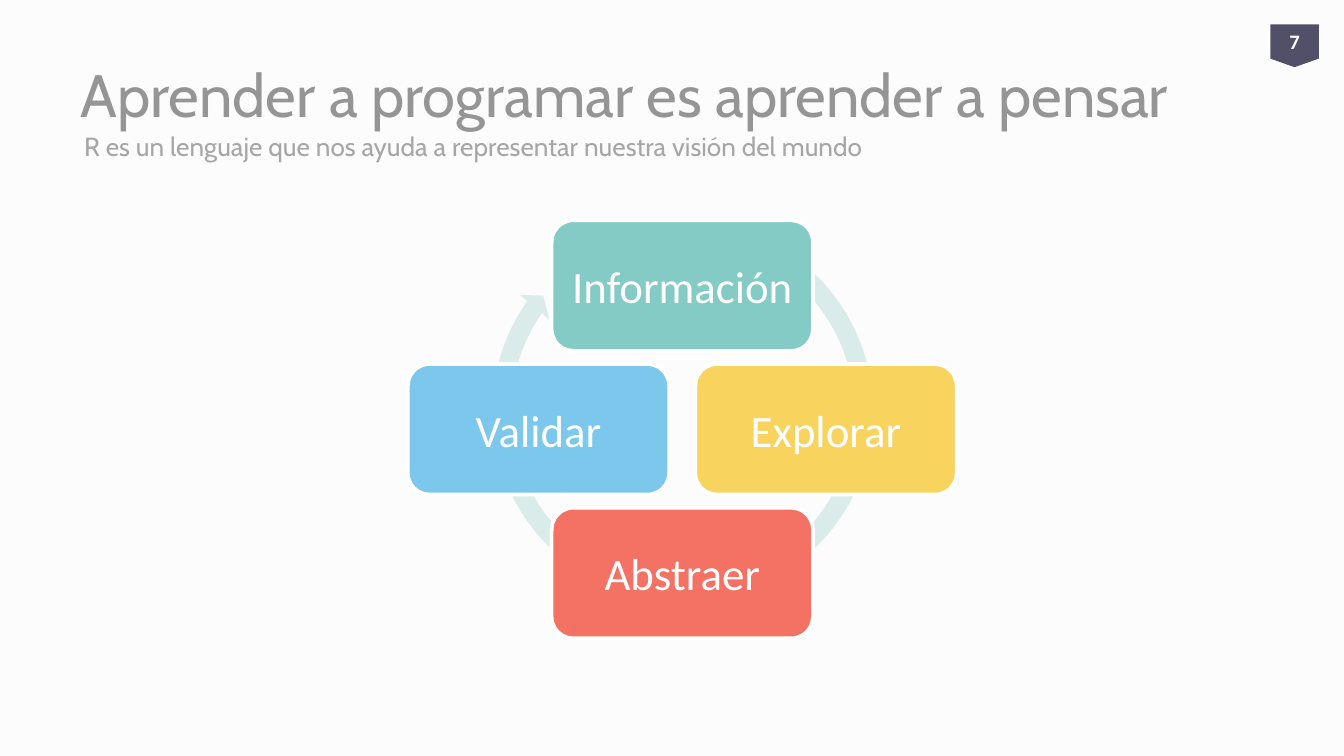
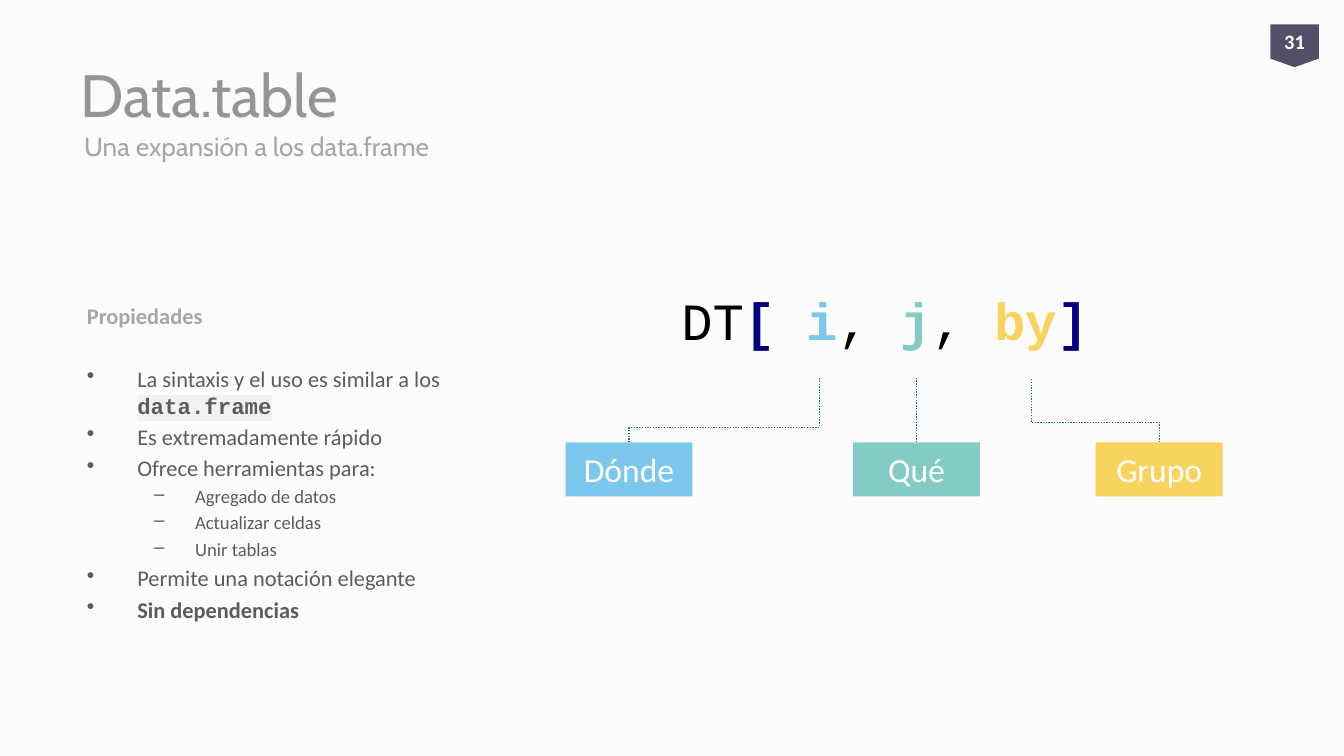
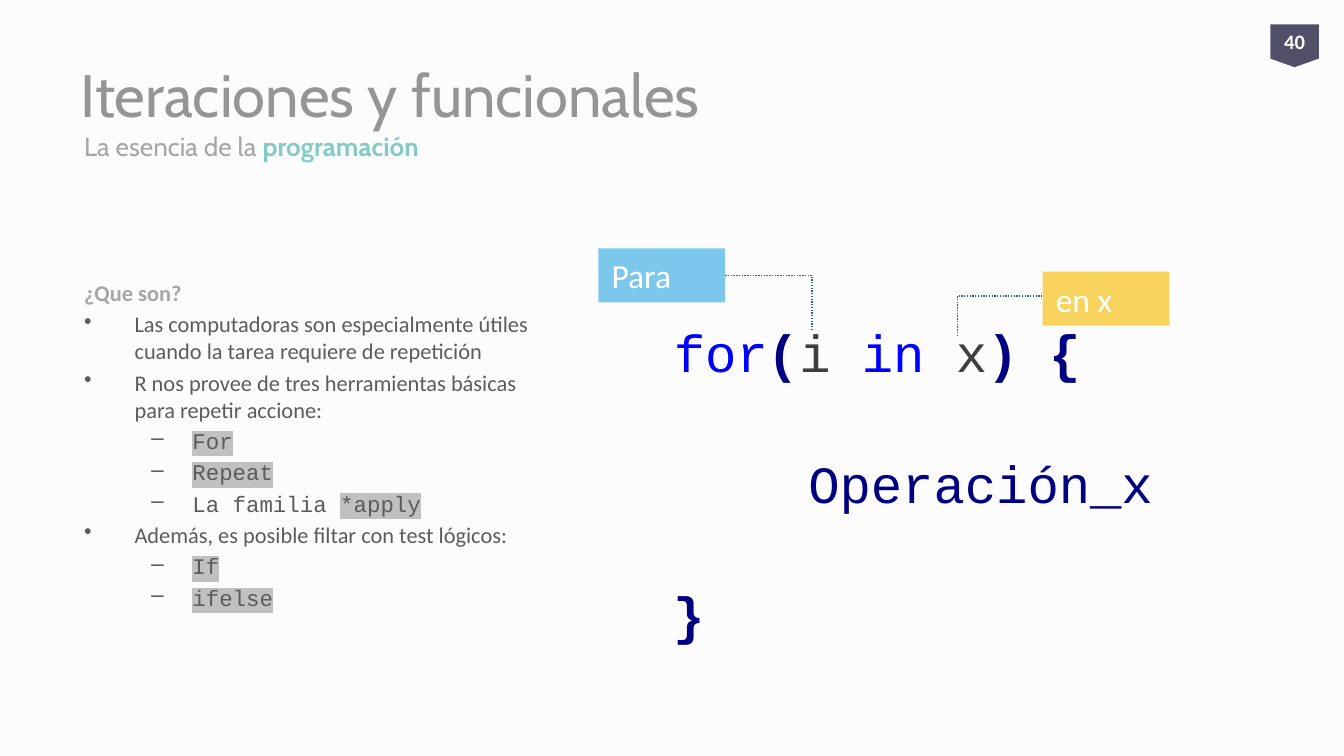
from lxml.etree import SubElement
from pptx import Presentation
from pptx.dml.color import RGBColor
from pptx.enum.dml import MSO_LINE
from pptx.enum.shapes import MSO_CONNECTOR, MSO_SHAPE
from pptx.enum.text import MSO_ANCHOR, PP_ALIGN
from pptx.oxml.ns import qn
from pptx.util import Pt

RECT = MSO_SHAPE.RECTANGLE
ROUND = MSO_SHAPE.ROUNDED_RECTANGLE
TAG = MSO_SHAPE.FLOWCHART_OFFPAGE_CONNECTOR
ARC = MSO_SHAPE.CIRCULAR_ARROW
ELBOW = MSO_CONNECTOR.ELBOW
STRAIGHT = MSO_CONNECTOR.STRAIGHT
DOTS = MSO_LINE.ROUND_DOT
LEFT, CENTER = PP_ALIGN.LEFT, PP_ALIGN.CENTER
TOP, MIDDLE = MSO_ANCHOR.TOP, MSO_ANCHOR.MIDDLE

HEAD, BODY, MONO = "Cabin", "Calibri", "Courier New"
COLORS = {
    "back": "FCFCFC", "title": "959595", "soft": "A6A6A6", "text": "5C5C5C",
    "tag": "525068", "white": "FFFFFF", "black": "000000", "teal": "84CBC5",
    "yellow": "F8D35E", "red": "F47264", "blue": "7CC8EC", "arc": "D9ECEA",
    "line": "1768A3", "navy": "000080", "key": "0000FF", "dark": "3F3F3F",
    "pale": "F2F2F2", "gray": "C0C0C0",
}
BULLETS = [("•", 27, -27), ("–", 58, -22)]
CARD_W, CARD_H, STEP = 140, 70, 77
LABEL_W, LABEL_H = 68, 29


def color(name):
    return RGBColor.from_string(COLORS[name])


class Deck:
    def __init__(self):
        self.prs = Presentation()
        self.prs.slide_width, self.prs.slide_height = Pt(720), Pt(405)
        fill = self.prs.slide_master.background.fill
        fill.solid()
        fill.fore_color.rgb = color("back")
        self.slide = None

    def page(self, title, sub, number):
        self.slide = self.prs.slides.add_slide(self.prs.slide_layouts[6])
        self.text(36, 16, 648, 68, [[(title, {})]], HEAD, 32, "title", MIDDLE)
        self.text(38, 64, 648, 29, [sub], HEAD, 14, "soft", MIDDLE)
        tag = self.shape(TAG, 680.5, 13, 26, 23, "tag")
        self.label(tag, number, 11, bold=True, inset=0)

    def style(self, run, font, size, tone, bold=False, mark=None):
        run.font.name, run.font.size, run.font.bold = font, Pt(size), bold
        run.font.color.rgb = color(tone)
        if mark:
            props = run.font._element
            light = SubElement(props, qn("a:highlight"))
            SubElement(light, qn("a:srgbClr"), val=COLORS[mark])
            props.find(qn("a:solidFill")).addnext(light)

    def fill(self, para, parts, font, size, tone):
        for words, look in parts:
            run = para.add_run()
            run.text = words
            self.style(run, **{"font": font, "size": size, "tone": tone, **look})

    def text(self, x, y, w, h, lines, font, size, tone, anchor=TOP, wrap=True):
        box = self.slide.shapes.add_textbox(Pt(x), Pt(y), Pt(w), Pt(h))
        frame = box.text_frame
        frame.word_wrap, frame.vertical_anchor = wrap, anchor
        for n, parts in enumerate(lines):
            para = frame.add_paragraph() if n else frame.paragraphs[0]
            self.fill(para, parts, font, size, tone)
        return frame

    def notes(self, x, y, w, h, head, items, gap):
        frame = self.text(x, y, w, h, [[(head, {"bold": True})]], BODY, 12, "soft")
        for n, (level, size, parts) in enumerate(items):
            para = frame.add_paragraph()
            para.level = level
            mark, margin, indent = BULLETS[level]
            props = para._p.get_or_add_pPr()
            props.set("marL", str(Pt(margin)))
            props.set("indent", str(Pt(indent)))
            SubElement(props, qn("a:buChar"), char=mark)
            para.space_before = Pt(size * 0.2 if n else gap)
            self.fill(para, parts, BODY, size, "text")

    def shape(self, kind, x, y, w, h, tone, edge=None):
        shape = self.slide.shapes.add_shape(kind, Pt(x), Pt(y), Pt(w), Pt(h))
        shape.shadow.inherit = False
        shape.fill.solid()
        shape.fill.fore_color.rgb = color(tone)
        if edge:
            shape.line.color.rgb = color(edge)
            shape.line.width = Pt(2)
        else:
            shape.line.fill.background()
        return shape

    def label(self, shape, words, size, align=CENTER, bold=False, inset=7.2):
        frame = shape.text_frame
        frame.text = words
        frame.word_wrap, frame.vertical_anchor = True, MIDDLE
        frame.margin_left = frame.margin_right = Pt(inset)
        frame.margin_top = frame.margin_bottom = Pt(inset / 2)
        para = frame.paragraphs[0]
        para.alignment = align
        self.style(para.runs[0], BODY, size, "white", bold)

    def card(self, x, y, words, tone):
        card = self.shape(ROUND, x, y, CARD_W, CARD_H, tone, "white")
        self.label(card, words, 24)

    def box(self, x, y, words, tone, align=CENTER):
        box = self.shape(RECT, x, y, LABEL_W, LABEL_H, tone)
        self.label(box, words, 18, align)
        return box

    def link(self, kind, x1, y1, x2, y2, bend=None):
        ends = [Pt(v) for v in (x1, y1, x2, y2)]
        link = self.slide.shapes.add_connector(kind, *ends)
        link.line.color.rgb = color("line")
        link.line.width = Pt(0.75)
        link.line.dash_style = DOTS
        props = link._element.spPr
        SubElement(props, qn("a:effectLst"))
        if bend is not None:
            guides = props.find(qn("a:prstGeom")).find(qn("a:avLst"))
            SubElement(guides, qn("a:gd"), name="adj1",
                       fmla=f"val {round(bend * 100000)}")
        return link

    def rise(self, x1, y1, x2, y2, bend):
        mid_x, mid_y = (x1 + x2) / 2, (y1 + y2) / 2
        run, half = (x2 - x1) / 2, (y1 - y2) / 2
        link = self.link(ELBOW, mid_x - half, mid_y - run,
                         mid_x + half, mid_y + run, bend)
        link._element.spPr.find(qn("a:xfrm")).set("rot", str(270 * 60000))


def cycle(deck):
    deck.page("Aprender a programar es aprender a pensar",
              [("R es un lenguaje que nos ayuda a representar nuestra visión del mundo", {})],
              "7")
    arc = deck.shape(ARC, 258.5, 113, 214.5, 214.5, "arc")
    for n, value in enumerate((0.047, 2.729, 129.039, 179.816, 0.048)):
        arc.adjustments[n] = value
    cards = [("Información", "teal", 0, -1), ("Explorar", "yellow", 1, 0),
             ("Abstraer", "red", 0, 1), ("Validar", "blue", -1, 0)]
    for words, tone, col, row in cards:
        deck.card(295.5 + col * STEP, 195 + row * STEP, words, tone)


def table(deck):
    deck.page("Data.table", [("Una expansión a los data.frame", {})], "31")
    code = {"font": MONO, "bold": True, "mark": "pale"}
    deck.notes(39.5, 158.5, 247, 191, "Propiedades", [
        (0, 12, [("La sintaxis y el uso es similar a los ", {}), ("data.frame", code)]),
        (0, 12, [("Es extremadamente rápido", {})]),
        (0, 12, [("Ofrece herramientas para:", {})]),
        (1, 10, [("Agregado de datos", {})]),
        (1, 10, [("Actualizar celdas", {})]),
        (1, 10, [("Unir tablas", {})]),
        (0, 12, [("Permite una notación elegante", {})]),
        (0, 12, [("Sin dependencias", {"bold": True})]),
    ], 19)
    navy, blue, teal, yellow = [{"tone": tone, "bold": True}
                                for tone in ("navy", "blue", "teal", "yellow")]
    deck.text(358, 151, 235, 41, [[
        ("DT", {}), ("[ ", navy), ("i", blue), (", ", {}), ("j", teal),
        (", ", {}), ("by", yellow), ("]", navy),
    ]], MONO, 28, "black", wrap=False)
    top, tip = 237, 202.5
    deck.rise(337, top, 439, tip, 0.23)
    deck.rise(621, top, 552.5, tip, 0.31)
    deck.box(303, top, "Dónde", "blue")
    what = deck.box(457, top, "Qué", "teal")
    deck.box(587, top, "Grupo", "yellow")
    deck.link(STRAIGHT, 491, top, 491, tip).begin_connect(what, 0)


def loops(deck):
    deck.page("Iteraciones y funcionales",
              [("La esencia de la ", {}), ("programación", {"tone": "teal", "bold": True})],
              "40")
    mono = {"font": MONO}
    code = {"font": MONO, "mark": "gray"}
    deck.notes(38, 146, 263.5, 221, "¿Que son?", [
        (0, 12, [("Las computadoras son especialmente útiles cuando la tarea "
                  "requiere de repetición", {})]),
        (0, 12, [("R nos provee de tres herramientas básicas para repetir accione:", {})]),
        (1, 12, [("For", code)]),
        (1, 12, [("Repeat", code)]),
        (1, 12, [("La familia ", mono), ("*apply", code)]),
        (0, 12, [("Además, es posible filtar con test lógicos:", {})]),
        (1, 12, [("If", code)]),
        (1, 12, [("ifelse", code)]),
    ], 2.4)
    key, dark, bold = {"tone": "key"}, {"tone": "dark"}, {"bold": True}
    frame = deck.text(354, 168, 340, 177, [
        [("for", key), ("(", bold), ("i ", dark), ("in ", key), ("x", dark), (") {", bold)],
        [("Operación_x", {})],
        [("}", bold)],
    ], MONO, 28, "navy")
    for para in frame.paragraphs[1:]:
        para.space_before = Pt(36.5)
    frame.paragraphs[1]._p.get_or_add_pPr().set("marL", str(Pt(72)))
    deck.link(ELBOW, 388.5, 147.5, 435, 176.5, 1)
    deck.link(ELBOW, 558.5, 158.5, 513, 180, 1)
    deck.box(320.5, 133, "Para", "blue", LEFT)
    deck.box(558.5, 145.5, "en x", "yellow", LEFT)


def main():
    deck = Deck()
    for build in (cycle, table, loops):
        build(deck)
    deck.prs.save("out.pptx")


if __name__ == "__main__":
    main()
